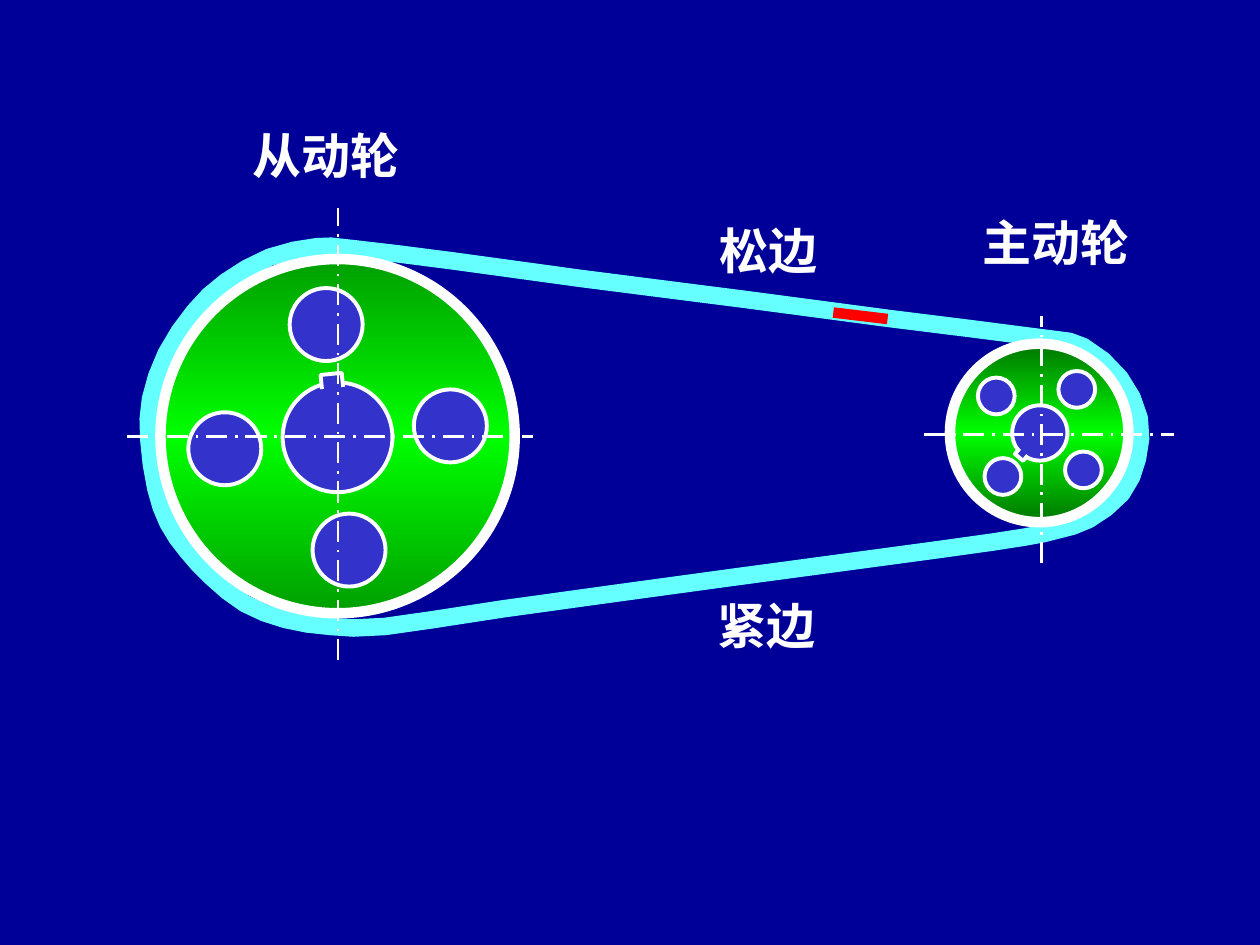
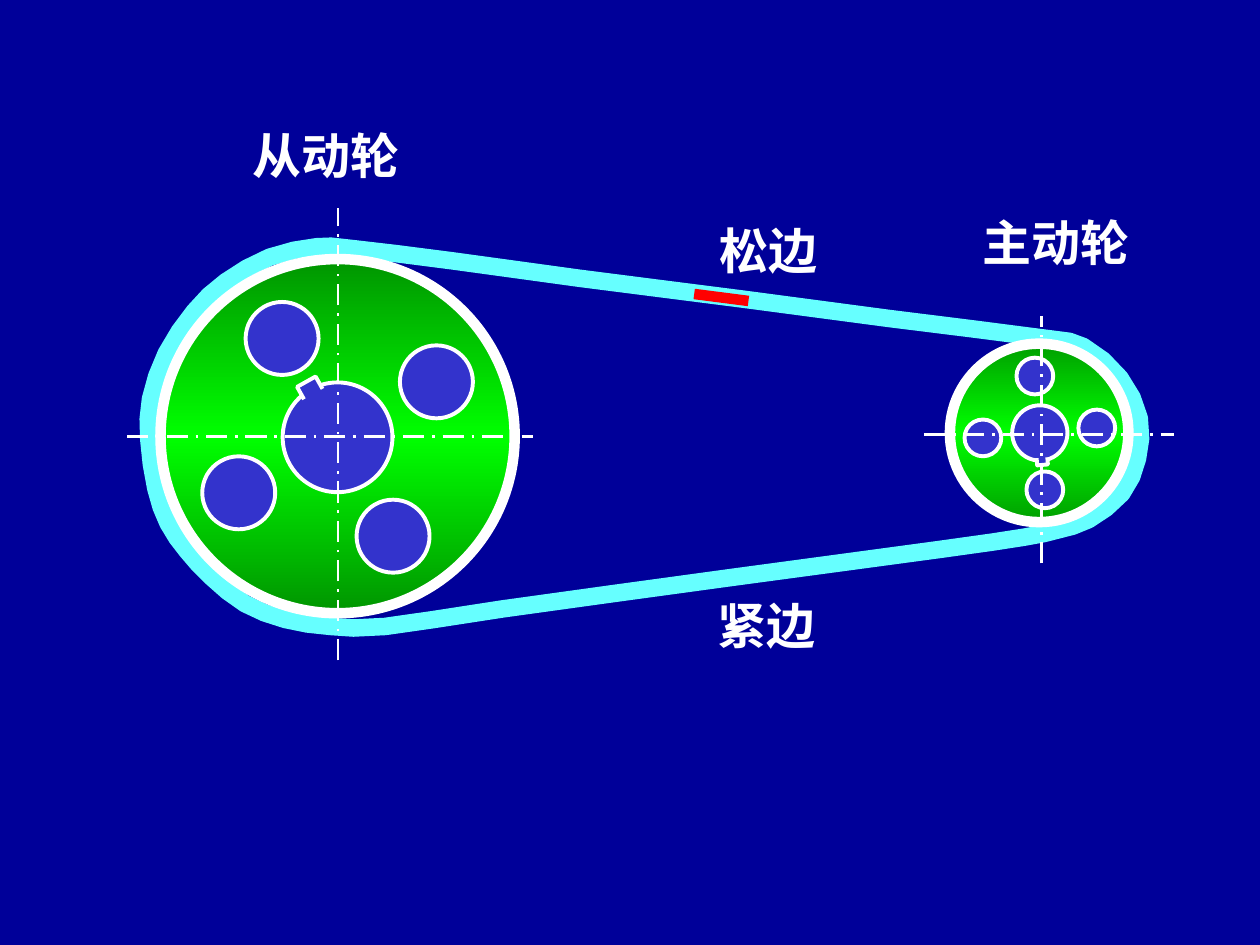
"""Build two slides that show a belt drive at two moments of its motion."""
import copy
import math

from lxml import etree
from pptx import Presentation
from pptx import util as u
from pptx.dml.color import RGBColor
from pptx.enum import dml, shapes, text
from pptx.oxml import ns

NAVY, WHITE, RED = "000099", "FFFFFF", "FF0000"
BELT_CYAN, HOLE_BLUE = "66FFFF", "3333CC"
RIM_GREENS = ((0, "007500"), (0.5, "00FF00"), (1, "007500"))
FONT, FONT_SIZE = "Times New Roman", 28

BELT_ORIGIN = (84, 140)
BELT_ANCHORS = [
    (511, 53), (424, 42), (341, 31), (247, 19), (174, 9), (117, 2), (97, 1), (70, 7),
    (45, 21), (27, 38), (11, 62), (2, 88), (1, 111), (5, 139), (12, 159), (23, 175),
    (37, 190), (56, 205), (79, 214), (105, 218), (136, 218), (203, 208), (334, 190),
    (453, 174), (501, 167), (520, 163), (538, 157), (557, 142), (566, 122), (567, 99),
    (556, 76), (535, 58),
]
CURVE_STEPS = 2

LABELS = [
    ("主动轮 ", 543.8, 117.7, 125.3),
    ("从动轮 ", 126.9, 68.4, 125.3),
    ("松边 ", 399.6, 122.4, 85),
    ("紧边 ", 398.4, 337, 85),
]
DRIVER = {"box": (542.8, 196.4, 102), "shift": (0.4, 0), "key_side": 1,
          "axes": ((528, 248.2, 671, 248.2), (595.2, 322, 595.2, 180.6))}
DRIVEN = {"box": (91.7, 148, 202.4), "shift": (0, 0.7), "key_side": -1,
          "axes": ((72.7, 249.4, 304.8, 249.4), (193.2, 377.3, 193.2, 118.8))}
MOMENTS = [
    {"driver_turn": 90.3, "driven_turn": 224.2, "mark": (476.2, 178.6, 507.2, 182.3)},
    {"driver_turn": 45, "driven_turn": 200.7, "mark": (396.7, 168, 427.7, 172)},
]
DRIVER_OFFSET, DRIVEN_OFFSET = -50, -230


def color(value):
    """Turn a hex string into a colour."""
    return RGBColor.from_string(value)


def style(shape, line, width, fill=None):
    """Set outline and fill of a shape and drop its shadow."""
    shape.shadow.inherit = False
    shape.line.color.rgb = color(line)
    shape.line.width = u.Pt(width)
    if fill:
        shape.fill.solid()
        shape.fill.fore_color.rgb = color(fill)
    else:
        shape.fill.background()


def add_outline(page, points, closed):
    """Add a freeform through points given in points of length."""
    corners = [(u.Pt(x), u.Pt(y)) for x, y in points]
    builder = page.shapes.build_freeform(*corners[0])
    builder.add_line_segments(corners[1:], close=closed)
    return builder.convert_to_shape()


def add_line(page, ends, line, width, dash=None):
    """Add a straight line without shadow."""
    connector = page.shapes.add_connector(
        shapes.MSO_CONNECTOR.STRAIGHT, *(u.Pt(end) for end in ends))
    connector.line.color.rgb = color(line)
    connector.line.width = u.Pt(width)
    if dash:
        connector.line.dash_style = dash
    etree.SubElement(connector.element.spPr, ns.qn("a:effectLst"))


def add_disc(page, center_x, center_y, diameter, width=2.25):
    """Add a blue circle with a white outline around a centre."""
    disc = page.shapes.add_shape(
        shapes.MSO_SHAPE.OVAL, u.Pt(center_x - diameter / 2), u.Pt(center_y - diameter / 2),
        u.Pt(diameter), u.Pt(diameter))
    style(disc, WHITE, width, HOLE_BLUE)
    return disc


def shade_rim(rim):
    """Give the rim a level gradient that stays put when the rim turns."""
    rim.fill.gradient()
    rim.fill.gradient_angle = 270
    gradient = rim.element.spPr.find(ns.qn("a:gradFill"))
    gradient.set("rotWithShape", "0")
    stop_list = gradient.find(ns.qn("a:gsLst"))
    stop_list.insert(1, copy.deepcopy(stop_list[0]))
    for stop, (position, value) in zip(rim.fill.gradient_stops, RIM_GREENS):
        stop.position = position
        stop.color.rgb = color(value)


def add_wheel(page, box, shift, key_side, axes, turn, offset):
    """Draw a wheel with holes, hub, keyway and centre lines, turned in its box."""
    left, top, size = box
    center_x, center_y = left + size / 2, top + size / 2
    hub_x, hub_y = center_x + shift[0], center_y + shift[1]
    phase = math.radians(turn + offset)

    def place(x, y):
        """Turn a point given as a share of the wheel size around the hub."""
        return (hub_x + size * (x * math.cos(phase) - y * math.sin(phase)),
                hub_y + size * (x * math.sin(phase) + y * math.cos(phase)))

    rim = add_disc(page, center_x, center_y, size, 6)
    rim.rotation = turn
    shade_rim(rim)
    for x, y in ((1, 0), (0, 1), (-1, 0), (0, -1)):
        add_disc(page, *place(0.32 * x, 0.32 * y), 0.206 * size)
    add_disc(page, hub_x, hub_y, 0.31 * size)
    keyway = [(-0.03, 0.14), (-0.03, 0.18), (0.03, 0.18), (0.03, 0.14)]
    style(add_outline(page, [place(x, key_side * y) for x, y in keyway], False),
          WHITE, 2.25, HOLE_BLUE)
    for ends in axes:
        add_line(page, ends, WHITE, 1.5, dml.MSO_LINE.LONG_DASH_DOT)


def spline(before, start, end, after, step):
    """Return one coordinate on a smooth curve from start to end."""
    return 0.5 * (2 * start + (end - before) * step
                  + (2 * before - 5 * start + 4 * end - after) * step ** 2
                  + (3 * start - before - 3 * end + after) * step ** 3)


def add_belt(page, left, top):
    """Draw the closed belt as a smooth curve through its anchors."""
    count = len(BELT_ANCHORS)
    points = []
    for index in range(count):
        near = [BELT_ANCHORS[(index + move) % count] for move in (-1, 0, 1, 2)]
        for step in range(CURVE_STEPS):
            x, y = (spline(*values, step / CURVE_STEPS) for values in zip(*near))
            points.append((left + x, top + y))
    style(add_outline(page, points, True), BELT_CYAN, 10)


def add_label(page, wording, left, top, width):
    """Add a bold white centred label."""
    box = page.shapes.add_textbox(u.Pt(left), u.Pt(top), u.Pt(width), u.Pt(41))
    box.text_frame.word_wrap = True
    box.text_frame.auto_size = text.MSO_AUTO_SIZE.SHAPE_TO_FIT_TEXT
    para = box.text_frame.paragraphs[0]
    para.text = wording
    para.alignment = text.PP_ALIGN.CENTER
    para.font.name = FONT
    para.font.size = u.Pt(FONT_SIZE)
    para.font.bold = True
    para.font.color.rgb = color(WHITE)


def add_drive_page(deck, driver_turn, driven_turn, mark):
    """Add a slide with the belt drive at one moment."""
    page = deck.slides.add_slide(deck.slide_layouts[6])
    add_belt(page, *BELT_ORIGIN)
    for label in LABELS[:2]:
        add_label(page, *label)
    add_wheel(page, **DRIVER, turn=driver_turn, offset=DRIVER_OFFSET)
    add_wheel(page, **DRIVEN, turn=driven_turn, offset=DRIVEN_OFFSET)
    add_line(page, mark, RED, 6)
    for label in LABELS[2:]:
        add_label(page, *label)


def main():
    """Build and save the deck."""
    deck = Presentation()
    deck.slide_width, deck.slide_height = u.Pt(720), u.Pt(540)
    backdrop = deck.slide_master.background.fill
    backdrop.solid()
    backdrop.fore_color.rgb = color(NAVY)
    for moment in MOMENTS:
        add_drive_page(deck, **moment)
    deck.save("out.pptx")


if __name__ == "__main__":
    main()
